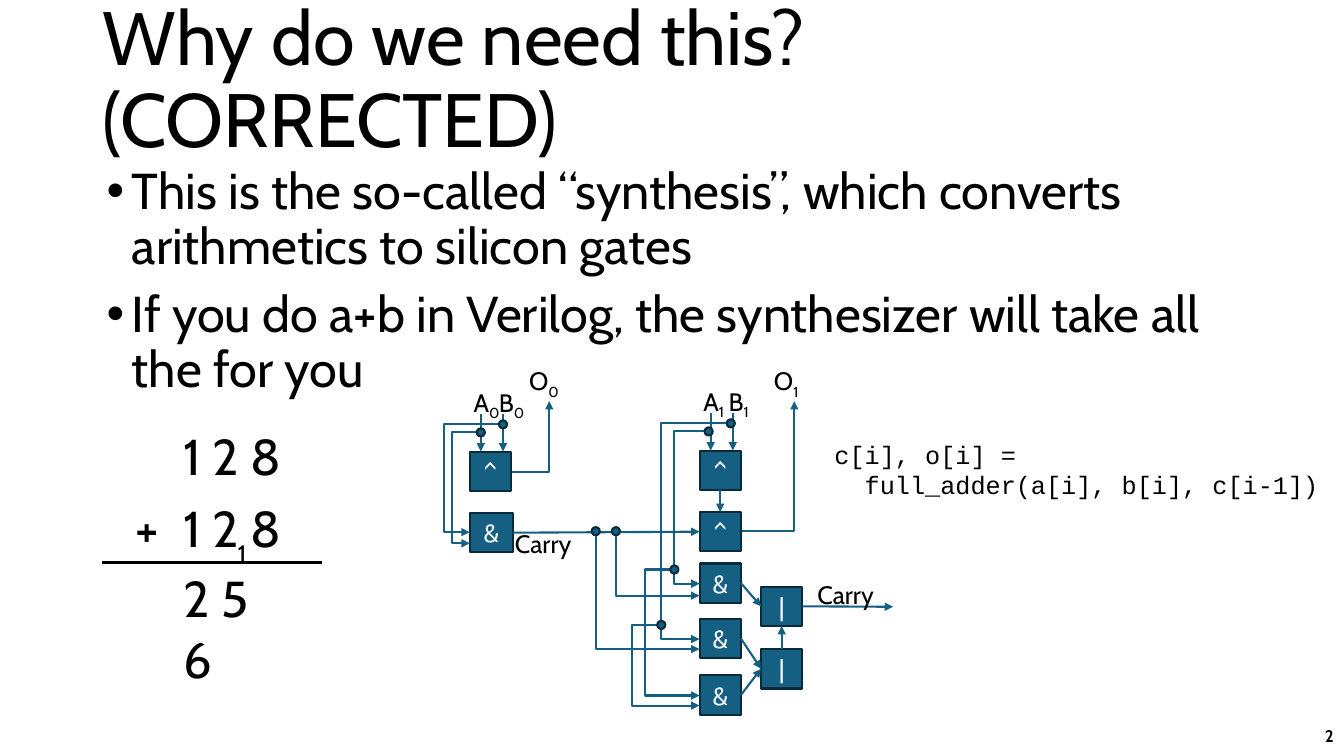
from lxml import etree
from pptx import Presentation
from pptx.dml.color import RGBColor
from pptx.enum.shapes import MSO_CONNECTOR, MSO_SHAPE
from pptx.enum.text import MSO_ANCHOR, PP_ALIGN
from pptx.oxml.ns import qn
from pptx.util import Inches, Pt

TEAL = RGBColor(0x15, 0x60, 0x82)
NAVY = RGBColor(0x09, 0x2A, 0x39)
BLACK = RGBColor(0, 0, 0)
WHITE = RGBColor(0xFF, 0xFF, 0xFF)
RECT, OVAL = MSO_SHAPE.RECTANGLE, MSO_SHAPE.OVAL
LINE, ELBOW = MSO_CONNECTOR.STRAIGHT, MSO_CONNECTOR.ELBOW
TOP, MIDDLE = MSO_ANCHOR.TOP, MSO_ANCHOR.MIDDLE
LEFT, CENTER, RIGHT = PP_ALIGN.LEFT, PP_ALIGN.CENTER, PP_ALIGN.RIGHT
UP, WEST, DOWN, EAST = range(4)  # connection sites of a rectangle
CELL = 0.1  # inches per grid column and row


def grid(*cells):
    return [Inches(cell * CELL) for cell in cells]


class Board:
    """Style and current slide; all lengths are grid columns and rows."""

    font, size, weight = "Cabin", 18, Pt(1.5)

    def __init__(self, deck):
        self.slide = deck.slides.add_slide(deck.slide_layouts[6])
        self.shapes = self.slide.shapes

    def run(self, para, text, size=None, color=BLACK, font=None, bold=False, sub=False):
        run = para.add_run()
        run.text = text
        run.font.name = font or self.font
        run.font.size = Pt(size or self.size)
        run.font.color.rgb = color
        run.font.bold = bold
        if sub:
            run.font._element.set("baseline", "-25000")

    def text(self, box, lines, wrap=False, anchor=TOP, align=LEFT, space=None, **style):
        """Each line is a list of runs; a second run is a subscript."""
        frame = self.shapes.add_textbox(*grid(*box)).text_frame
        frame.word_wrap = wrap
        frame.vertical_anchor = anchor
        for i, line in enumerate(lines):
            para = frame.paragraphs[0] if i == 0 else frame.add_paragraph()
            para.alignment = align
            if space:
                para.line_spacing = space
            for j, part in enumerate(line):
                self.run(para, part, sub=j > 0, **style)
        return frame

    def bullet(self, para):
        para.space_before = Pt(10)
        props = para._p.get_or_add_pPr()
        self.indent(para, 2.5, -2.5)
        etree.SubElement(props, qn("a:buFont")).set("typeface", "Arial")
        etree.SubElement(props, qn("a:buChar")).set("char", "•")

    def indent(self, para, left, first=0):
        props = para._p.get_or_add_pPr()
        for key, cells in (("marL", left), ("indent", first)):
            props.set(key, str(grid(cells)[0]))

    def block(self, kind, box):
        shape = self.shapes.add_shape(kind, *grid(*box))
        shape.shadow.inherit = False
        shape.fill.solid()
        shape.fill.fore_color.rgb = TEAL
        shape.line.color.rgb = NAVY
        shape.line.width = self.weight
        return shape

    def gate(self, x, y, sign, wide=4.1):
        shape = self.block(RECT, (x, y, wide, 3.9))
        shape.text_frame.vertical_anchor = MIDDLE
        para = shape.text_frame.paragraphs[0]
        para.alignment = CENTER
        self.run(para, sign, color=WHITE)
        return shape

    def dot(self, x, y):
        self.block(OVAL, (x - 0.4, y - 0.4, 0.8, 0.8))

    def wire(self, start, end, kind=LINE, color=TEAL, arrow="tailEnd"):
        wire = self.shapes.add_connector(kind, *grid(*start, *end))
        wire.line.color.rgb = color
        wire.line.width = self.weight
        if arrow:
            tip = etree.SubElement(wire.line._get_or_add_ln(), qn("a:" + arrow))
            tip.set("type", "triangle")
        etree.SubElement(wire._element.spPr, qn("a:effectLst"))
        return wire

    def join(self, gate, site, mate, port):
        wire = self.wire((0, 0), (1, 1))
        wire.begin_connect(gate, site)
        wire.end_connect(mate, port)

    def loop(self, start, end, via):
        """Sideways to column via, along it, then sideways to the end."""
        wire = self.wire(start, end, ELBOW)
        share = (via - start[0]) / (end[0] - start[0])
        guides = wire._element.spPr.find(qn("a:prstGeom")).get_or_add_avLst()
        guide = etree.SubElement(guides, qn("a:gd"))
        guide.set("name", "adj1")
        guide.set("fmla", f"val {round(share * 100000)}")

    def corner(self, start, end, arrow="tailEnd"):
        """Sideways first, then up or down."""
        wire = self.wire(start, end, ELBOW, arrow=arrow)
        wire._element.spPr.find(qn("a:prstGeom")).set("prst", "bentConnector2")


def main():
    deck = Presentation()
    deck.slide_width, deck.slide_height = grid(133.33, 75)
    board = Board(deck)

    # Title, bullets and page number
    board.text((9.2, 0.9, 115, 14.5), [["Why do we need this? (CORRECTED)"]],
               wrap=True, anchor=MIDDLE, space=0.9, size=54)
    body = board.text((9.6, 16, 115, 25.3), [
        ["This is the so-called “synthesis”, which converts arithmetics to silicon gates"],
        ["If you do a+b in Verilog, the synthesizer will take all the for you"],
    ], wrap=True, space=0.9, size=36)
    for para in body.paragraphs:
        board.bullet(para)
    board.text((103.3, 71, 30, 4), [["2"]], wrap=True, anchor=MIDDLE, align=RIGHT,
               size=12, bold=True)

    # Sum worked by hand
    for x, y, wide, digits in ((17.2, 41.7, 12.2, "1 2 8"), (17.2, 48.8, 12.2, "1 2 8"),
                               (12.5, 48.8, 4.7, "+")):
        board.text((x, y, wide, 7.1), [[digits]], size=36)
    board.text((17.2, 55.8, 11, 13.1), [["2 5 6"]], wrap=True, size=36)
    board.text((22.6, 52.9, 3.4, 4), [["1"]])
    board.wire((10.1, 55.8), (31.9, 55.8), color=BLACK, arrow=None)

    # Gates
    col, last = 69.4, 75.5
    xors = [board.gate(46.6, 44.8, "^"), board.gate(col, 44.7, "^")]
    half = board.gate(46.6, 50.9, "&", wide=4.3)
    total = board.gate(col, 50.8, "^")
    ands = [board.gate(col, y, "&") for y in (55.9, 61.4, 67)]
    high, low = [board.gate(last, y, "|") for y in (58.2, 64.4)]

    # Wires between gates
    for ends in ((xors[1], DOWN, total, UP), (half, EAST, total, WEST),
                 (ands[0], EAST, high, WEST), (ands[1], EAST, low, WEST),
                 (ands[2], EAST, low, WEST), (low, UP, high, DOWN)):
        board.join(*ends)
    board.wire((79.6, 60.2), (88.6, 60.2)).begin_connect(high, EAST)

    # Inputs and output of each bit
    bits = (("0", 46.6, 44.8, 54.5, 46.8, 51.5), ("1", col, 44.7, 78.8, 52.7, 75.8))
    for bit, x, y, out, level, label in bits:
        for name, step, shift, wide in (("A", 1.1, -0.2, 4.7), ("B", 3.3, 2.3, 5.1)):
            board.wire((x + step, y - 3.7), (x + step, y))
            board.text((x + shift - 0.4, y - 6.9, wide, 4), [[name, bit]], wrap=True)
        board.corner((x + 4.2, level), (out, 39.8))
        board.text((label, 35.8, 6, 4), [["O", bit]], wrap=True)

    # Branches that loop back to the AND gates: start, end, column
    for start, end, via in (
        ((49.9, 42.1), (46.6, 52.8), 44.1), ((47.7, 42.9), (46.6, 53.9), 44.8),
        ((72.5, 42), (col, 63.4), 65.6), ((70.3, 42.8), (col, 57.9), 66.9),
        ((66.9, 56.5), (col, 69), 64), ((65.6, 62), (col, 70), 62.7),
    ):
        board.loop(start, end, via)
        board.dot(*start)

    # Carry drops and labels
    for x, y in ((61.1, 59.1), (59.1, 64.4)):
        board.corner((col, y), (x, 53.1), arrow="headEnd")
        board.dot(x, 52.7)
    for x, y in ((80.1, 57), (50.1, 51.9)):
        board.text((x, y, 8, 4), [["Carry"]])

    # Code
    code = board.text((81.8, 43.1, 50.3, 7.1),
                      [["c[i], o[i] ="], ["full_adder(a[i], b[i], c[i-1])"]],
                      font="Courier New")
    board.indent(code.paragraphs[1], 3)

    deck.save("out.pptx")


if __name__ == "__main__":
    main()
